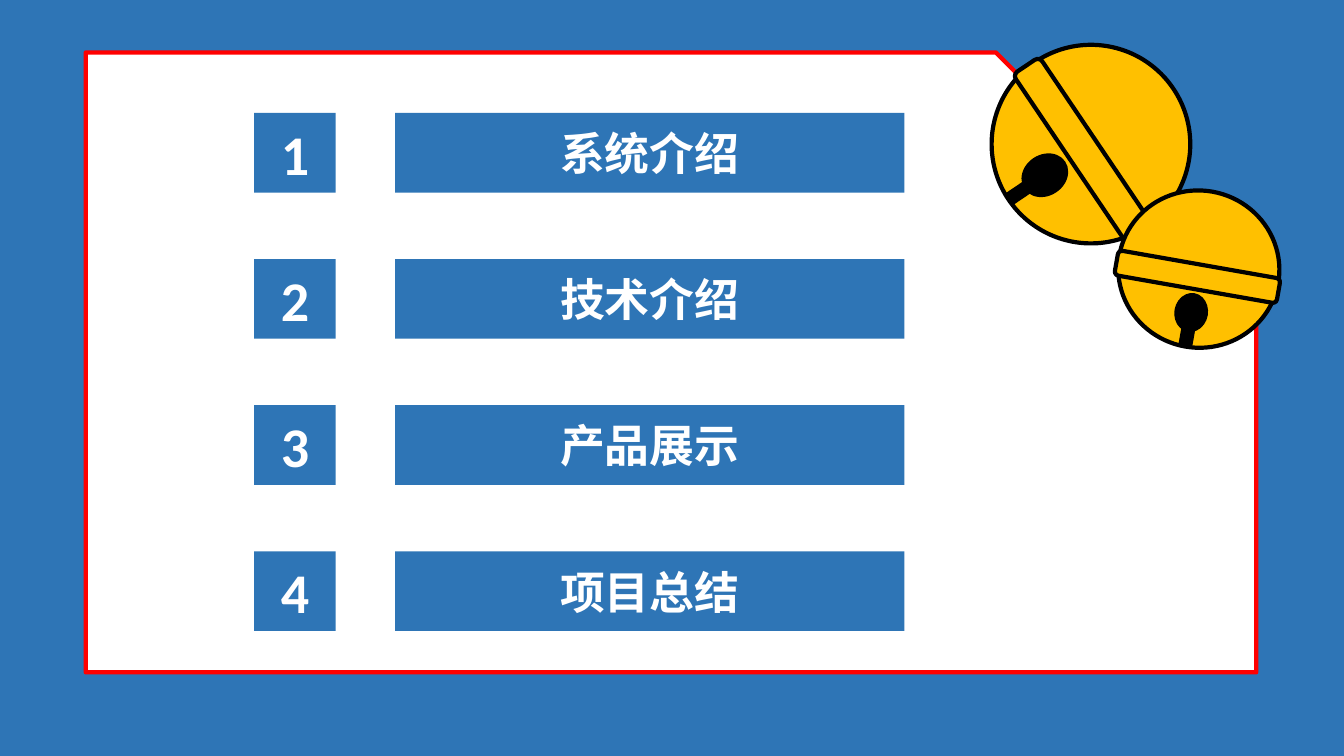
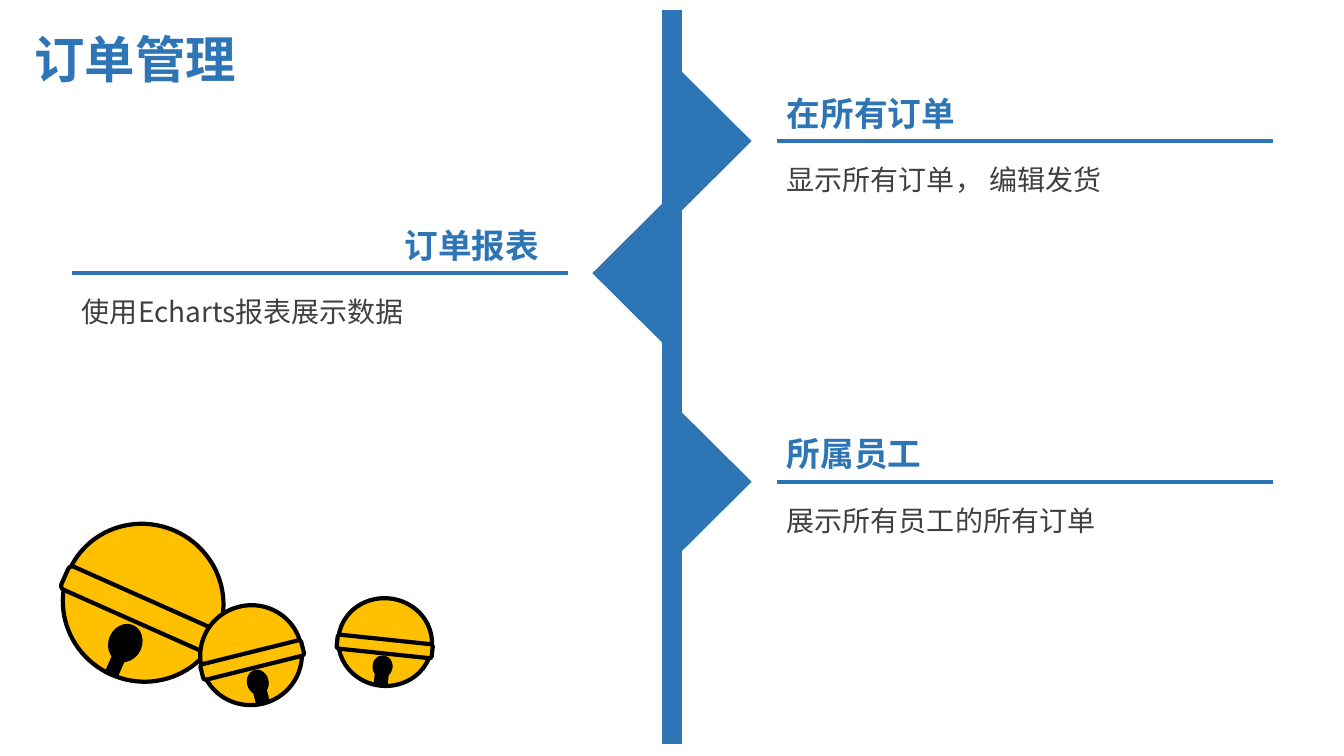
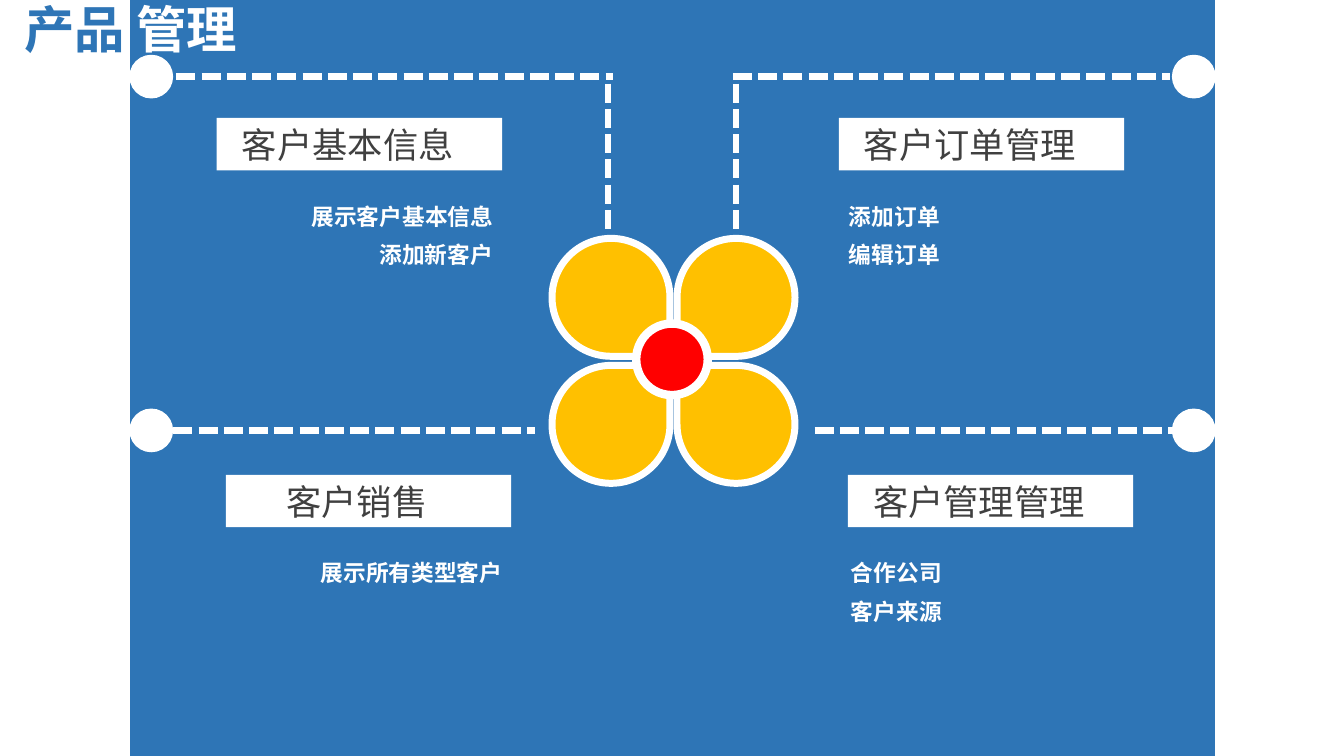
from dataclasses import dataclass
from math import cos, radians, sin

from lxml import etree
from pptx import Presentation
from pptx.dml.color import RGBColor
from pptx.enum.dml import MSO_LINE
from pptx.enum.shapes import MSO_CONNECTOR, MSO_SHAPE
from pptx.enum.text import MSO_ANCHOR, MSO_AUTO_SIZE, PP_ALIGN
from pptx.oxml.ns import qn
from pptx.util import Inches, Pt

RECT, ROUND, OVAL = MSO_SHAPE.RECTANGLE, MSO_SHAPE.ROUNDED_RECTANGLE, MSO_SHAPE.OVAL
SNIPPED, TRIANGLE, TEAR = MSO_SHAPE.SNIP_1_RECTANGLE, MSO_SHAPE.ISOSCELES_TRIANGLE, MSO_SHAPE.TEAR
STRAIGHT, DASHED = MSO_CONNECTOR.STRAIGHT, MSO_LINE.SQUARE_DOT
LEFT, CENTER, RIGHT = PP_ALIGN.LEFT, PP_ALIGN.CENTER, PP_ALIGN.RIGHT
TOP, MIDDLE = MSO_ANCHOR.TOP, MSO_ANCHOR.MIDDLE
TITLE_ONLY, COMPARISON, BLANK = 5, 4, 6  # layouts of the default template


@dataclass(frozen=True)
class TextStyle:
    size: float
    color: str
    bold: bool = False
    name: str = "Noto Sans CJK SC"
    spacing: float = 1.0


class Theme:
    WIDTH, HEIGHT = 13.33, 7.5
    BLUE, WHITE, RED, GOLD = "2E75B6", "FFFFFF", "FF0000", "FFC000"
    BLACK, GRAY = "000000", "404040"
    TITLE = TextStyle(36, BLUE, bold=True)
    NUMBER = TextStyle(40, WHITE, bold=True, name="Calibri")
    AGENDA = TextStyle(32, WHITE, bold=True)
    HEADING = TextStyle(24, BLUE, bold=True)
    DETAIL = TextStyle(20, GRAY, spacing=1.2)
    TAG = TextStyle(25.2, GRAY)
    TAG_LIST = TextStyle(16.2, WHITE, bold=True, spacing=1.4)


def rgb(color):
    return RGBColor.from_string(color)


def set_all(target, values):
    for name, value in values.items():
        setattr(target, name, value)


def add_block(page, kind, box, fill, outline=None, angle=0):
    """Filled preset shape; outline is (colour, points)."""
    shape = page.shapes.add_shape(kind, *map(Inches, box))
    shape.shadow.inherit = False
    shape.rotation = angle
    shape.fill.solid()
    shape.fill.fore_color.rgb = rgb(fill)
    if outline:
        color, points = outline
        shape.line.color.rgb = rgb(color)
        shape.line.width = Pt(points)
    else:
        shape.line.fill.background()
    return shape


def add_line(page, start, end, color, points, dash=None):
    line = page.shapes.add_connector(STRAIGHT, *map(Inches, (*start, *end)))
    line.line.color.rgb = rgb(color)
    line.line.width = Pt(points)
    if dash:
        line.line.dash_style = dash
    etree.SubElement(line._element.spPr, qn("a:effectLst"))


def write(shape, paras, style, align=LEFT, anchor=TOP, **frame_values):
    """Fill a shape; each paragraph is a string or a list of (text, colour)."""
    frame = shape.text_frame
    set_all(frame, dict(word_wrap=True, auto_size=MSO_AUTO_SIZE.NONE,
                        vertical_anchor=anchor, **frame_values))
    for index, spans in enumerate(paras):
        para = frame.add_paragraph() if index else frame.paragraphs[0]
        set_all(para, dict(alignment=align, line_spacing=style.spacing,
                           space_before=Pt(0), space_after=Pt(0)))
        if isinstance(spans, str):
            spans = [(spans, style.color)]
        for text, color in spans:
            span = para.add_run()
            span.text = text
            set_all(span.font, dict(size=Pt(style.size), bold=style.bold, name=style.name))
            span.font.color.rgb = rgb(color)
            east_asian = etree.SubElement(span.font._element, qn("a:ea"))
            east_asian.set("typeface", style.name)


def add_text(page, box, text, style, align=LEFT):
    write(page.shapes.add_textbox(*map(Inches, box)), [text], style, align)


def place(holder, box):
    """Move a placeholder to the box and in front of everything drawn so far."""
    set_all(holder, dict(zip(("left", "top", "width", "height"), map(Inches, box))))
    holder._element.getparent().append(holder._element)
    return holder


def add_title(page, left, top, spans):
    write(place(page.shapes.title, (left, top, 2.6, 0.71)), [spans], Theme.TITLE)


def fill_list(holder, box, items, align):
    write(place(holder, box), items, Theme.TAG_LIST, align)
    for para in holder.text_frame.paragraphs:
        props = para._p.get_or_add_pPr()
        set_attributes = {"marL": "0", "indent": "0"}
        for name, value in set_attributes.items():
            props.set(name, value)
        etree.SubElement(props, qn("a:buNone"))


def add_bell(page, center, width, height, angle):
    """Bell turned about its center; its parts hang along its own axis."""
    turn = radians(angle)

    def on_axis(share):
        reach = share * height
        return center[0] - reach * sin(turn), center[1] + reach * cos(turn)

    def part(kind, share, wide, high, fill, points):
        x, y = on_axis(share)
        wide, high = wide * width, high * height
        add_block(page, kind, (x - wide / 2, y - high / 2, wide, high),
                  fill, (Theme.BLACK, points), angle)

    part(OVAL, 0, 1, 1, Theme.GOLD, 3)
    part(ROUND, 0.05, 1.02, 0.16, Theme.GOLD, 3)
    part(OVAL, 0.28, 0.2, 0.24, Theme.BLACK, 1)
    add_line(page, on_axis(0.37), on_axis(0.5), Theme.BLACK, 10)


def add_agenda_row(page, left, top, number, text):
    height = 0.79
    cells = ((0, 0.81, str(number), Theme.NUMBER), (1.4, 5.05, text, Theme.AGENDA))
    for offset, width, label, style in cells:
        cell = add_block(page, RECT, (left + offset, top, width, height), Theme.BLUE)
        write(cell, [label], style, CENTER, MIDDLE)


def agenda_slide(deck, topics):
    page = deck.slides.add_slide(deck.slide_layouts[BLANK])
    add_block(page, RECT, (0, 0, Theme.WIDTH, Theme.HEIGHT), Theme.BLUE)
    card = add_block(page, SNIPPED, (0.85, 0.52, 11.61, 6.15), Theme.WHITE, (Theme.RED, 3))
    card.adjustments[0] = 0.42
    for index, topic in enumerate(topics):
        add_agenda_row(page, 2.52, 1.12 + 1.45 * index, index + 1, topic)
    add_bell(page, (10.82, 1.43), 1.97, 1.97, 56)
    add_bell(page, (11.89, 2.67), 1.6, 1.56, 10)


def add_milestone(page, spine, y, side, heading, detail):
    """Arrow on the spine with a ruled caption; side is 1 for right, -1 for left."""
    base, depth, rule, heading_width = 1.57, 0.79, 4.92, 3.21
    add_block(page, TRIANGLE,
              (spine + side * depth / 2 - base / 2, y - depth / 2, base, depth),
              Theme.BLUE, angle=90 * side)
    left = spine + 1.04 if side > 0 else spine - 1.03 - rule
    heading_left = left if side > 0 else left + rule - heading_width - 0.19
    add_text(page, (heading_left, y - 0.53, heading_width, 0.5), heading,
             Theme.HEADING, LEFT if side > 0 else RIGHT)
    add_line(page, (left, y), (left + rule, y), Theme.BLUE, 3)
    add_text(page, (left, y + 0.1, 4.83, 0.47), detail, Theme.DETAIL)


def timeline_slide(deck, title, milestones):
    page = deck.slides.add_slide(deck.slide_layouts[TITLE_ONLY])
    spine = Theme.WIDTH / 2
    add_bell(page, (1.42, 5.98), 1.6, 1.56, 24)
    add_bell(page, (2.49, 6.5), 1.01, 0.99, 346)
    add_bell(page, (3.82, 6.37), 0.93, 0.87, 6)
    add_line(page, (spine, 0.1), (spine, 7.38), Theme.BLUE, 15)
    for milestone in milestones:
        add_milestone(page, spine, *milestone)
    add_title(page, 0.24, 0.23, [(title, Theme.BLUE)])


def add_petals(page, center, size):
    x, y = center
    petals = ((-1, -1, 90), (1, -1, 180), (1, 1, 270), (-1, 1, 0))
    for across, down, angle in petals:
        box = (x + 0.62 * across - size / 2, y + 0.63 * down - size / 2, size, size)
        add_block(page, TEAR, box, Theme.GOLD, (Theme.WHITE, 5), angle)


def add_branch(page, knob, start, end, stem=None):
    """Dashed line with a knob, and a stem down to the flower when given."""
    x, y = knob
    size = 0.42
    add_line(page, (start, y), (end, y), Theme.WHITE, 4.5, DASHED)
    if stem:
        add_line(page, (stem, y + 0.07), (stem, y + 1.53), Theme.WHITE, 4.5, DASHED)
    add_block(page, OVAL, (x - size / 2, y - size / 2, size, size),
              Theme.WHITE, (Theme.WHITE, 1))


def add_topic(page, holder, left, top, tag, items, list_shift, align):
    label = add_block(page, RECT, (left, top, 2.83, 0.52), Theme.WHITE)
    write(label, [tag], Theme.TAG, CENTER, MIDDLE,
          margin_right=Inches(0.33), margin_top=0, margin_bottom=0)
    height = 0.02 + 0.42 * len(items)
    fill_list(holder, (left + list_shift, top + 0.68, 3.2, height), items, align)


def flower_slide(deck, title, topics):
    page = deck.slides.add_slide(deck.slide_layouts[COMPARISON])
    add_block(page, RECT, (1.29, 0, 10.76, Theme.HEIGHT), Theme.BLUE)
    add_petals(page, (6.68, 3.58), 1.17)
    upper, lower, west, east = 0.76, 4.27, 1.5, 11.84
    add_branch(page, (west, upper), 1.75, 6.08, stem=6.03)
    add_branch(page, (east, upper), 7.27, 11.6, stem=7.3)
    add_branch(page, (west, lower), 1.72, 5.31)
    add_branch(page, (east, lower), 8.08, 11.63)
    for index, topic in enumerate(topics, start=1):
        add_topic(page, page.placeholders[index], *topic)
    add_block(page, OVAL, (6.31, 3.21, 0.71, 0.71), Theme.RED, (Theme.WHITE, 6))
    add_title(page, 0.14, -0.07, title)


def main():
    deck = Presentation()
    deck.slide_width, deck.slide_height = Inches(Theme.WIDTH), Inches(Theme.HEIGHT)
    agenda_slide(deck, ("系统介绍", "技术介绍", "产品展示", "项目总结"))
    timeline_slide(deck, "订单管理", (
        (1.4, 1, "在所有订单", "显示所有订单， 编辑发货"),
        (2.71, -1, "订单报表", "使用Echarts报表展示数据"),
        (4.78, 1, "所属员工", "展示所有员工的所有订单"),
    ))
    flower_slide(deck, [("产品 ", Theme.BLUE), ("管理", Theme.WHITE)], (
        (2.15, 1.17, "客户基本信息", ("展示客户基本信息", "添加新客户"), -0.36, RIGHT),
        (8.32, 1.17, "客户订单管理", ("添加订单", "编辑订单"), 0, LEFT),
        (2.24, 4.71, "客户销售", ("展示所有类型客户",), -0.36, RIGHT),
        (8.41, 4.71, "客户管理管理", ("合作公司", "客户来源"), -0.07, LEFT),
    ))
    deck.save("out.pptx")


if __name__ == "__main__":
    main()
